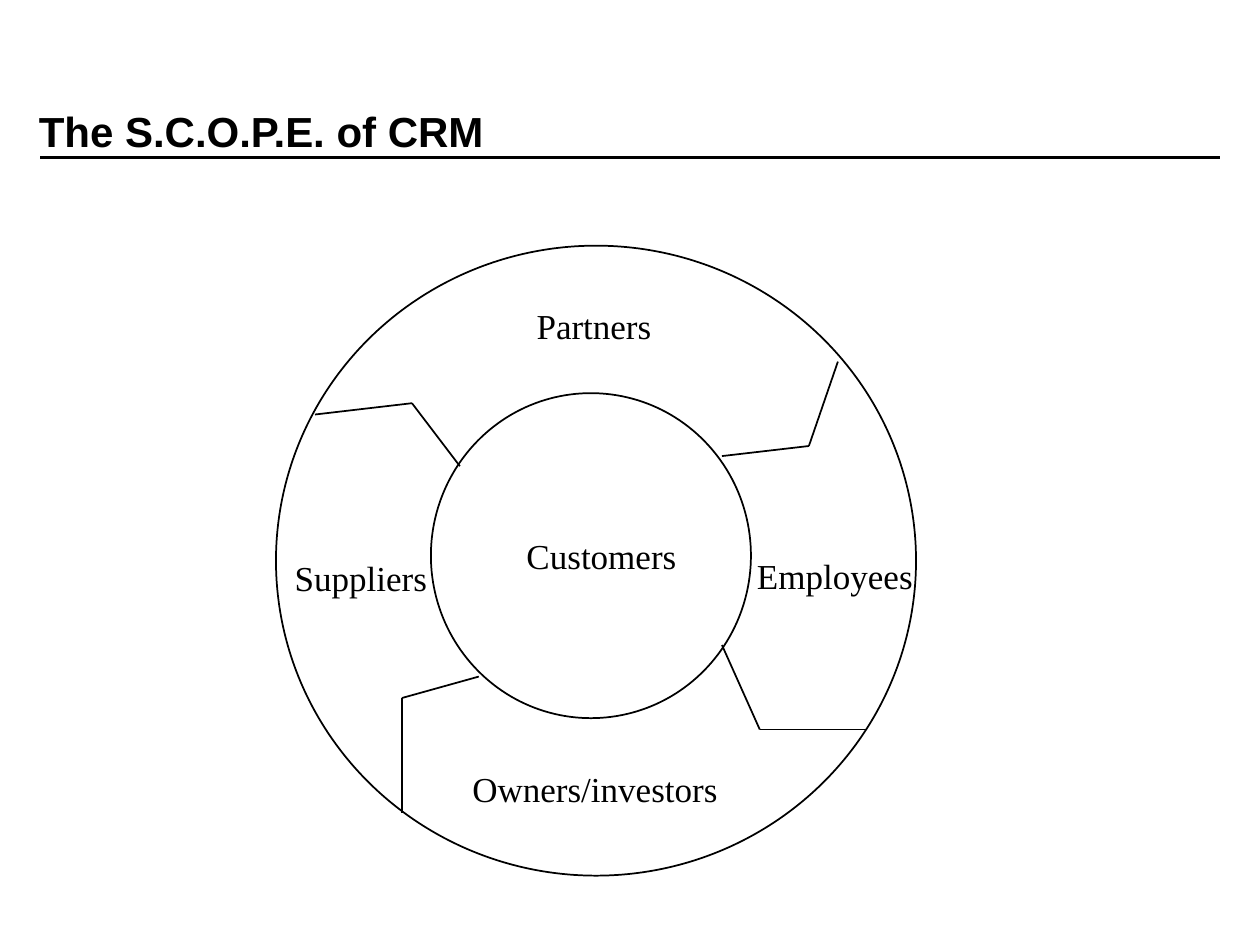
"""Build the slide showing the S.C.O.P.E. of CRM as a ring of four groups around customers."""
from dataclasses import dataclass
from itertools import pairwise

from lxml import etree
from pptx import Presentation
from pptx.dml.color import RGBColor
from pptx.enum.shapes import MSO_CONNECTOR, MSO_SHAPE
from pptx.enum.text import MSO_ANCHOR, MSO_AUTO_SIZE
from pptx.oxml.ns import qn
from pptx.slide import Slide
from pptx.util import Inches, Pt

STRAIGHT = MSO_CONNECTOR.STRAIGHT
OVAL = MSO_SHAPE.OVAL
MIDDLE = MSO_ANCHOR.MIDDLE
TOP = MSO_ANCHOR.TOP
GROW = MSO_AUTO_SIZE.SHAPE_TO_FIT_TEXT
FIXED = MSO_AUTO_SIZE.NONE
BLACK = RGBColor(0, 0, 0)

WIDTH, HEIGHT = Inches(10), Inches(7.5)
COLUMN, ROW = WIDTH / 100, HEIGHT / 75
BLANK_LAYOUT = 6

Point = tuple[float, float]


@dataclass(frozen=True)
class Box:
    """A rectangle in grid columns and rows."""
    left: float
    top: float
    width: float
    height: float

    def emu(self) -> tuple[int, int, int, int]:
        """Return the rectangle in slide units."""
        return (round(self.left * COLUMN), round(self.top * ROW),
                round(self.width * COLUMN), round(self.height * ROW))


@dataclass(frozen=True)
class Label:
    """A text with its box and font."""
    text: str
    box: Box
    font: str = "Times New Roman"
    size: int = 20
    title: bool = False


LABELS = (
    Label("The S.C.O.P.E. of CRM", Box(2.1, 4.2, 85, 12.4), "Arial", 24, True),
    Label("Partners", Box(41.6, 23.7, 11.2, 4.4)),
    Label("Suppliers", Box(22.4, 43.7, 12.6, 4.4)),
    Label("Employees", Box(59.1, 43.5, 14.6, 4.4)),
    Label("Owners/investors", Box(36.5, 60.4, 21.6, 4.4)),
    Label("Customers", Box(40.8, 41.9, 14.1, 4.4)),
)
CIRCLES = (Box(21.9, 19.5, 50.8, 50), Box(34.2, 31.2, 25.4, 25.8))
TITLE_RULE = ((3.2, 12.5), (96.8, 12.5))
DIVIDERS = (
    ((66.5, 28.7), (64.2, 35.4), (57.3, 36.2)),
    ((57.3, 51.2), (60.3, 57.9), (68.8, 57.9)),
    ((25, 32.9), (32.7, 32), (36.5, 37)),
    ((38, 53.7), (31.9, 55.4), (31.9, 64.5)),
)


def draw_line(slide: Slide, start: Point, end: Point, weight: float = 1) -> None:
    """Draw a straight black line between two grid points."""
    connector = slide.shapes.add_connector(
        STRAIGHT, round(start[0] * COLUMN), round(start[1] * ROW),
        round(end[0] * COLUMN), round(end[1] * ROW))
    connector.line.color.rgb = BLACK
    connector.line.width = Pt(weight)
    etree.SubElement(connector._element.spPr, qn("a:effectLst"))


def draw_circle(slide: Slide, box: Box) -> None:
    """Draw an unfilled circle with a black outline."""
    shape = slide.shapes.add_shape(OVAL, *box.emu())
    shape.shadow.inherit = False
    shape.fill.background()
    shape.line.color.rgb = BLACK
    shape.line.width = Pt(1)


def draw_label(slide: Slide, label: Label) -> None:
    """Write a label in its box."""
    frame = slide.shapes.add_textbox(*label.box.emu()).text_frame
    frame.word_wrap = label.title
    frame.auto_size = FIXED if label.title else GROW
    frame.vertical_anchor = MIDDLE if label.title else TOP
    run = frame.paragraphs[0].add_run()
    run.text = label.text
    run.font.name = label.font
    run.font.size = Pt(label.size)
    run.font.bold = label.title
    run.font.color.rgb = BLACK


def main() -> None:
    """Build and save the presentation."""
    presentation = Presentation()
    presentation.slide_width, presentation.slide_height = WIDTH, HEIGHT
    slide = presentation.slides.add_slide(presentation.slide_layouts[BLANK_LAYOUT])
    draw_line(slide, *TITLE_RULE, weight=2)
    for circle in CIRCLES:
        draw_circle(slide, circle)
    for label in LABELS:
        draw_label(slide, label)
    for divider in DIVIDERS:
        for start, end in pairwise(divider):
            draw_line(slide, start, end)
    presentation.save("out.pptx")


if __name__ == "__main__":
    main()
